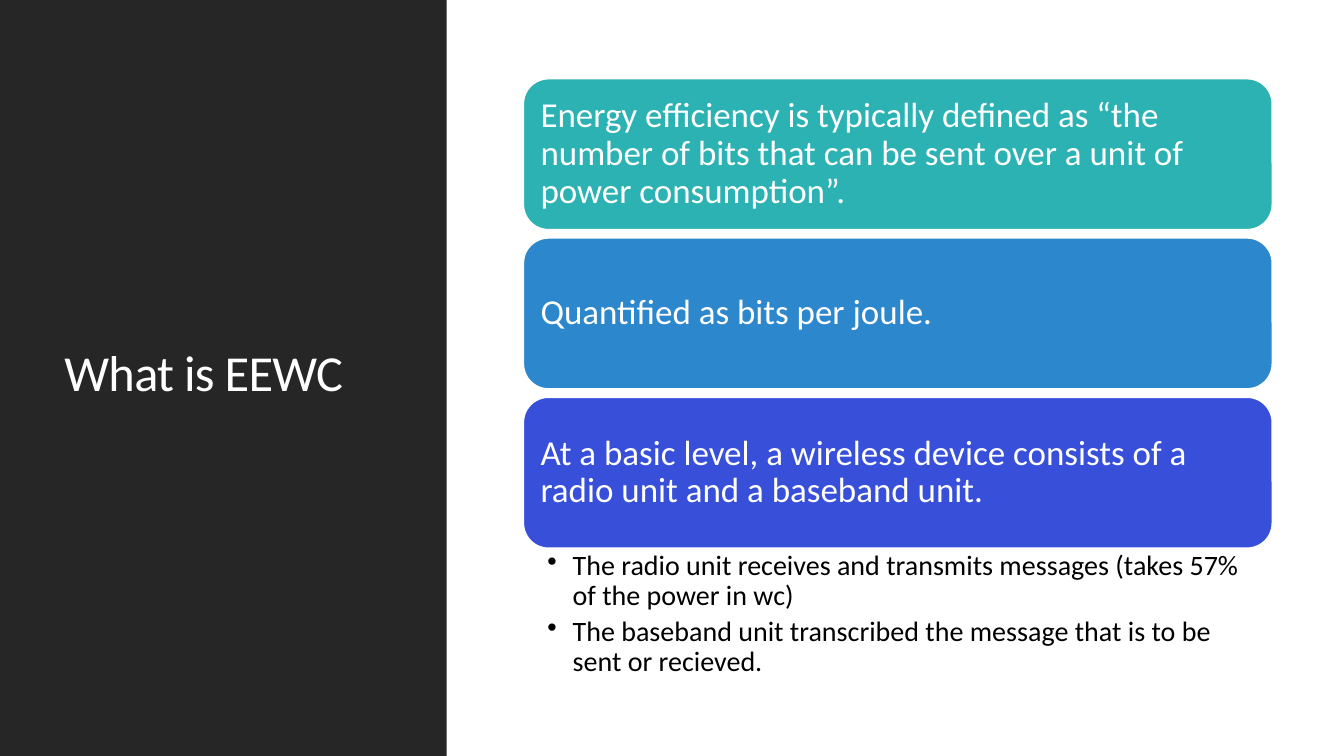
from lxml import etree
from pptx import Presentation
from pptx import util as u
from pptx.dml.color import RGBColor
from pptx.enum import shapes, text
from pptx.oxml import ns


def paint(color):
    return RGBColor.from_string(color)


def write(frame, lines, size, color, font="Calibri", inset=(0.1,) * 4,
          anchor=text.MSO_ANCHOR.MIDDLE, after=0, track=0, bullet=None):
    """Fill a text frame with one paragraph per line."""
    frame.word_wrap = True
    frame.auto_size = text.MSO_AUTO_SIZE.NONE
    frame.vertical_anchor = anchor
    (frame.margin_left, frame.margin_top,
     frame.margin_right, frame.margin_bottom) = map(u.Inches, inset)
    for i, line in enumerate(lines):
        para = frame.paragraphs[0] if i == 0 else frame.add_paragraph()
        para.alignment = text.PP_ALIGN.LEFT
        para.line_spacing = 0.9
        para.space_after = u.Pt(after)
        if bullet:
            props = para._p.get_or_add_pPr()
            props.set("marL", str(u.Inches(0.25)))
            props.set("indent", str(u.Inches(-0.25)))
            mark = etree.SubElement(props, ns.qn("a:buChar"))
            mark.set("char", bullet)
        run = para.add_run()
        run.text = line
        run.font.size = u.Pt(size)
        run.font.name = font
        run.font.color.rgb = paint(color)
        if track:
            run._r.get_or_add_rPr().set("spc", str(int(track * 100)))


class Deck:
    """Holds the style and the current slide."""
    dark, white, black = "262626", "FFFFFF", "000000"

    def __init__(self):
        self.prs = Presentation()
        self.prs.slide_width = u.Inches(13.33)
        self.prs.slide_height = u.Inches(7.5)
        self.slide = self.prs.slides.add_slide(self.prs.slide_layouts[6])
        fill = self.slide.background.fill
        fill.solid()
        fill.fore_color.rgb = paint(self.white)

    def block(self, kind, area, color, edge=None):
        shape = self.slide.shapes.add_shape(kind, *map(u.Inches, area))
        shape.shadow.inherit = False
        shape.fill.solid()
        shape.fill.fore_color.rgb = paint(color)
        if edge:
            shape.line.color.rgb = paint(edge)
            shape.line.width = u.Pt(1.25)
        else:
            shape.line.fill.background()
        return shape

    def label(self, area, lines, size, color, **style):
        box = self.slide.shapes.add_textbox(*map(u.Inches, area))
        write(box.text_frame, lines, size, color, **style)

    def card(self, area, color, line):
        shape = self.block(shapes.MSO_SHAPE.ROUNDED_RECTANGLE, area, color,
                           self.white)
        write(shape.text_frame, [line], 25, self.white)


def main():
    deck = Deck()

    # Dark title panel
    deck.block(shapes.MSO_SHAPE.RECTANGLE, (0, 0, 4.43, 7.5), deck.dark)
    deck.label((0.54, 0.57, 3.37, 6.31), ["What is EEWC"], 36, deck.white,
               track=-0.5, inset=(0.1, 0.05, 0.1, 0.05))

    # Stack of definition cards
    left, top, width, height, step = 5.19, 0.78, 7.43, 1.5, 1.58
    cards = [
        ("2DB2B4", "Energy efficiency is typically defined as “the number of "
                   "bits that can be sent over a unit of power consumption”."),
        ("2D87CC", "Quantified as bits per joule."),
        ("374FD9", "At a basic level, a wireless device consists of a radio "
                   "unit and a baseband unit."),
    ]
    for i, (color, line) in enumerate(cards):
        deck.card((left, top + i * step, width, height), color, line)

    # Bullets under the last card
    deck.label((left, 5.44, width, 1.36), [
        "The radio unit receives and transmits messages (takes 57% of the "
        "power in wc)",
        "The baseband unit transcribed the message that is to be sent or "
        "recieved.",
    ], 20, deck.black, inset=(0.24, 0.03, 0.19, 0.03),
        anchor=text.MSO_ANCHOR.TOP, after=4, bullet="•")

    deck.prs.save("out.pptx")


if __name__ == "__main__":
    main()
